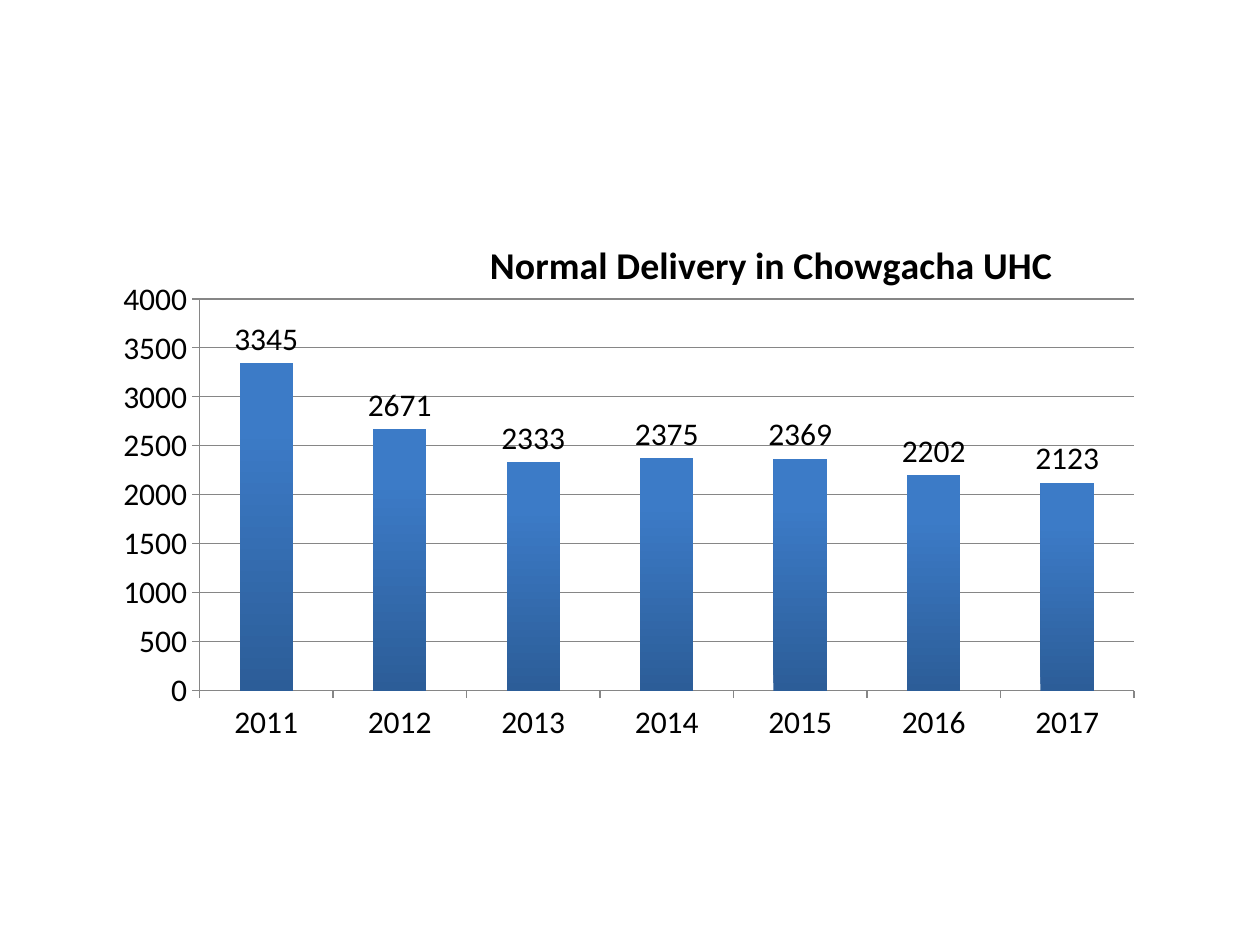
from typing import NamedTuple

from lxml.etree import SubElement
from pptx import Presentation
from pptx.chart.data import CategoryChartData
from pptx.dml.color import RGBColor
from pptx.enum.chart import XL_CHART_TYPE, XL_LABEL_POSITION, XL_TICK_MARK
from pptx.oxml.ns import qn
from pptx.util import Pt

BLACK = RGBColor(0, 0, 0)
GREY = RGBColor(0x86, 0x86, 0x86)
DARK = RGBColor(0x2C, 0x5D, 0x98)
BLUE = RGBColor(0x3C, 0x7B, 0xC7)


class Year(NamedTuple):
    name: str
    count: int


YEARS = [
    Year("2011", 3345), Year("2012", 2671), Year("2013", 2333),
    Year("2014", 2375), Year("2015", 2369), Year("2016", 2202),
    Year("2017", 2123),
]


def place(part, **spots: float) -> None:
    """Set a manual layout, in fractions of the chart."""
    old = part.find(qn("c:layout"))
    if old is not None:
        part.remove(old)
    layout = SubElement(part, qn("c:layout"))
    manual = SubElement(layout, qn("c:manualLayout"))
    if "w" in spots:
        SubElement(manual, qn("c:layoutTarget")).set("val", "inner")
    for key in ("x", "y"):
        SubElement(manual, qn(f"c:{key}Mode")).set("val", "edge")
    for key, val in spots.items():
        SubElement(manual, qn(f"c:{key}")).set("val", str(val))
    # The layout follows the text of a title but leads a plot area
    text = part.find(qn("c:tx"))
    part.insert(0 if text is None else 1, layout)


def style(axis) -> None:
    axis.format.line.color.rgb = GREY
    axis.format.line.width = Pt(0.75)
    axis.major_tick_mark = XL_TICK_MARK.OUTSIDE
    axis.minor_tick_mark = XL_TICK_MARK.NONE


deck = Presentation()
deck.slide_width, deck.slide_height = Pt(720), Pt(540)
slide = deck.slides.add_slide(deck.slide_layouts[6])

# Chart
data = CategoryChartData()
data.categories = [year.name for year in YEARS]
data.add_series("Series 1", [year.count for year in YEARS])
chart = slide.shapes.add_chart(
    XL_CHART_TYPE.COLUMN_CLUSTERED, Pt(60), Pt(110), Pt(600), Pt(320), data
).chart
chart.has_legend = False
chart.font.name = "Calibri"
chart.font.size = Pt(18)
chart.font.color.rgb = BLACK

# Title
chart.has_title = True
title = chart.chart_title
title.include_in_layout = False
title.text_frame.text = "Normal Delivery in Chowgacha UHC"
font = title.text_frame.paragraphs[0].runs[0].font
font.name, font.size, font.bold = "Calibri", Pt(21.6), True
font.color.rgb = BLACK
place(title._element, x=0.36, y=0.07)
place(chart._chartSpace.chart.plotArea, x=0.09, y=0.19, w=0.89, h=0.7)

# Axes
style(chart.category_axis)
scale = chart.value_axis
style(scale)
scale.minimum_scale, scale.maximum_scale, scale.major_unit = 0, 4000, 500
scale.has_major_gridlines = True
scale.major_gridlines.format.line.color.rgb = GREY
scale.major_gridlines.format.line.width = Pt(0.75)

# Bars, shaded from the foot up
plot = chart.plots[0]
plot.gap_width = 150
plot.vary_by_categories = False
fill = plot.series[0].format.fill
fill.gradient()
fill.gradient_angle = 90
for stop, spot, color in zip(fill.gradient_stops, (0, 0.8), (DARK, BLUE)):
    stop.position = spot
    stop.color.rgb = color

# Values above the bars
plot.has_data_labels = True
labels = plot.data_labels
labels.show_value = True
labels.position = XL_LABEL_POSITION.OUTSIDE_END

deck.save("out.pptx")
